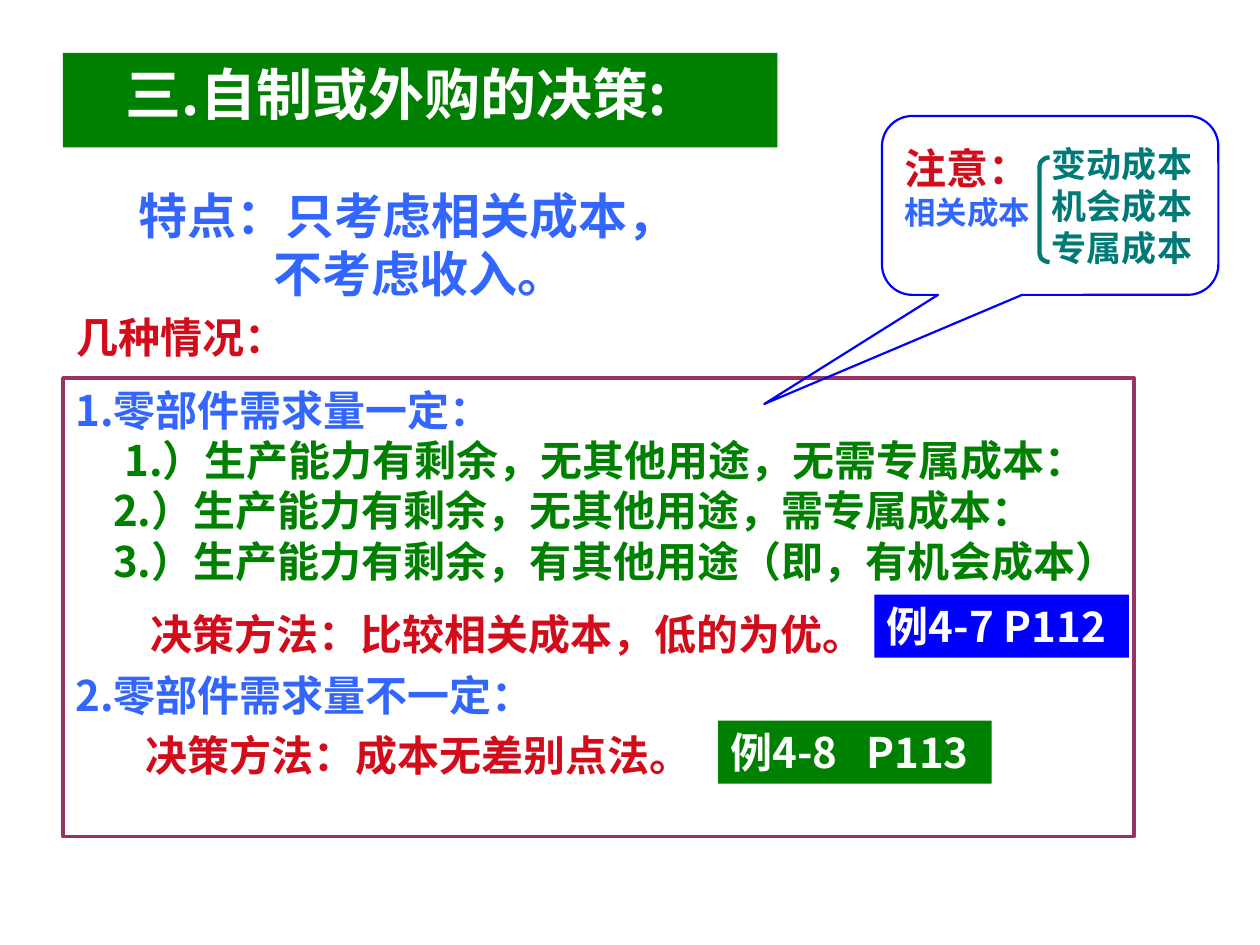
import pptx
import pptx.util
import pptx.dml.color
import pptx.enum.shapes
import pptx.enum.text
import pptx.oxml.ns
from lxml import etree

Inches = pptx.util.Inches
Pt = pptx.util.Pt
RGBColor = pptx.dml.color.RGBColor
SHAPE = pptx.enum.shapes.MSO_SHAPE

WHITE = RGBColor(0xFF, 0xFF, 0xFF)
GREEN = RGBColor(0x00, 0x80, 0x00)
BLUE = RGBColor(0x00, 0x00, 0xFF)
SKY = RGBColor(0x33, 0x66, 0xFF)
RED = RGBColor(0xD2, 0x0C, 0x1A)
TEAL = RGBColor(0x00, 0x7A, 0x77)
PLUM = RGBColor(0x99, 0x33, 0x66)

ARIAL = "Arial"
JP = "Noto Sans CJK JP"
SC = "Noto Sans CJK SC"


def add_text(frame, *parts, size=24, font=ARIAL, color=RED, indent=0, spacing=1.2):
    """Append a paragraph; a part is a string or a (string, font) pair.

    The line pitch is spacing times the text size.
    """
    paragraph = frame.paragraphs[0]
    if paragraph.runs:
        paragraph = frame.add_paragraph()
    paragraph.alignment = pptx.enum.text.PP_ALIGN.LEFT
    paragraph.line_spacing = Pt(round(size * spacing, 1))
    if indent:
        properties = paragraph._p.get_or_add_pPr()
        properties.set("marL", "0")
        properties.set("indent", str(Inches(indent)))
    for part in parts:
        words, face = part if isinstance(part, tuple) else (part, font)
        run = paragraph.add_run()
        run.text = words
        run.font.size = Pt(size)
        run.font.bold = True
        run.font.name = face
        run.font.color.rgb = color
        east_asian = etree.SubElement(run.font._element, pptx.oxml.ns.qn("a:ea"))
        east_asian.set("typeface", face)


class SlideBuilder:
    def __init__(self, slide):
        self.slide = slide

    def shape(self, kind, left, top, width, height, fill=None, line=None, weight=1):
        box = self.slide.shapes.add_shape(
            kind, Inches(left), Inches(top), Inches(width), Inches(height))
        box.shadow.inherit = False
        if fill is None:
            box.fill.background()
        else:
            box.fill.solid()
            box.fill.fore_color.rgb = fill
        if line is None:
            box.line.fill.background()
        else:
            box.line.color.rgb = line
            box.line.width = Pt(weight)
        return box

    def panel(self, left, top, width, height, wrap=True, **look):
        """Add a rectangle and return its text frame."""
        frame = self.shape(SHAPE.RECTANGLE, left, top, width, height, **look).text_frame
        frame.word_wrap = wrap
        frame.vertical_anchor = pptx.enum.text.MSO_ANCHOR.TOP
        return frame

    def text_box(self, left, top, width, height, wrap=False):
        frame = self.slide.shapes.add_textbox(
            Inches(left), Inches(top), Inches(width), Inches(height)).text_frame
        frame.word_wrap = wrap
        return frame


def main():
    deck = pptx.Presentation()
    deck.slide_width = Inches(10)
    deck.slide_height = Inches(7.5)
    builder = SlideBuilder(deck.slides.add_slide(deck.slide_layouts[6]))

    title = builder.panel(0.5, 0.42, 5.67, 0.75, fill=GREEN)
    add_text(title, "三.自制或外购的决策:", size=32, font=JP, color=WHITE, indent=0.4)

    feature = builder.text_box(1, 1.42, 4.47, 1.04)
    add_text(feature, "特点：只考虑相关成本，", size=28, color=SKY)
    add_text(feature, "不考虑收入。", size=28, color=SKY, indent=1.07)

    add_text(builder.text_box(0.51, 2.42, 1.86, 0.5), "几种情况：")

    cases = builder.panel(0.5, 3, 8.5, 3.64, line=PLUM, weight=2)
    add_text(cases, "1.零部件需求量一定：", font=SC, color=SKY)
    for condition, indent in (
            ("1.）生产能力有剩余，无其他用途，无需专属成本：", 0.39),
            ("2.）生产能力有剩余，无其他用途，需专属成本：", 0.3),
            ("3.）生产能力有剩余，有其他用途（即，有机会成本）", 0.3)):
        add_text(cases, condition, font=JP, color=GREEN, indent=indent)
    add_text(cases, ("决策方法：", SC), ("比较相关成本，低的为优。", JP),
             indent=0.6, spacing=1.74)
    add_text(cases, "2.零部件需求量不一定：", font=SC, color=SKY, spacing=1.44)
    add_text(cases, "决策方法：", ("成本无差别点法。", JP), indent=0.56, spacing=1.44)

    callout = builder.shape(SHAPE.ROUNDED_RECTANGULAR_CALLOUT, 7, 0.92, 2.67, 1.42,
                            line=BLUE, weight=1.25)
    for index, value in enumerate((-0.85, 1.11, 0.17)):
        callout.adjustments[index] = value

    notice = builder.text_box(7.08, 1.08, 2.5, 0.8, wrap=True)
    add_text(notice, "注意：")
    add_text(notice, "相关成本", size=18, color=SKY)

    bracket = builder.shape(SHAPE.LEFT_BRACKET, 8.25, 1.25, 0.08, 0.83,
                            line=TEAL, weight=2.5)
    bracket.adjustments[0] = 0.85

    costs = builder.text_box(8.25, 1.08, 1.31, 1.1)
    for cost in ("变动成本", "机会成本", "专属成本"):
        add_text(costs, cost, size=20, color=TEAL)

    example_fixed = builder.panel(6.94, 4.72, 2.02, 0.5, wrap=False, fill=BLUE)
    add_text(example_fixed, "例4-7 P112", font=JP, color=WHITE)
    example_varying = builder.panel(5.7, 5.72, 2.17, 0.5, wrap=False, fill=GREEN)
    add_text(example_varying, "例4-8   P113", font=JP, color=WHITE)

    deck.save("out.pptx")


if __name__ == "__main__":
    main()
